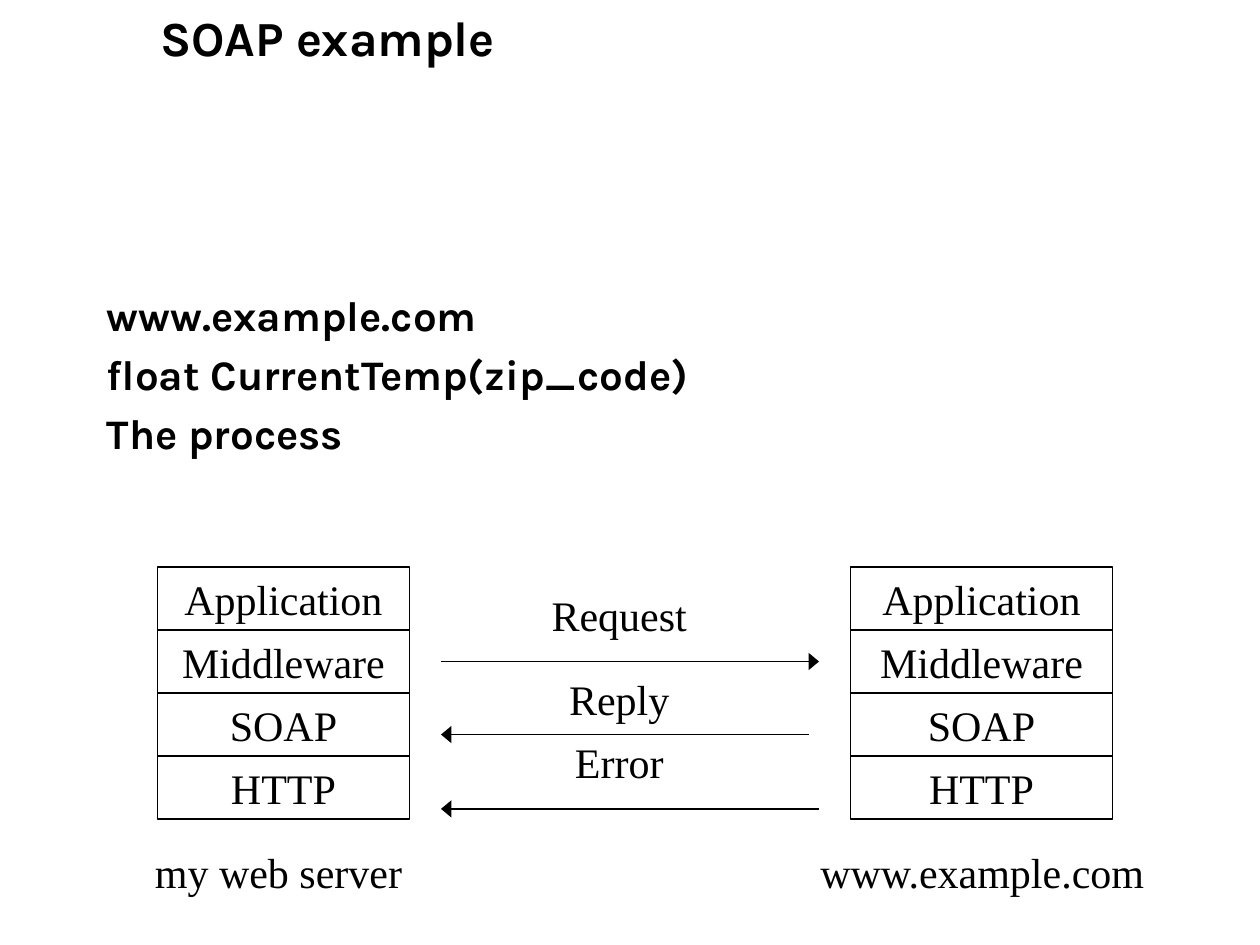
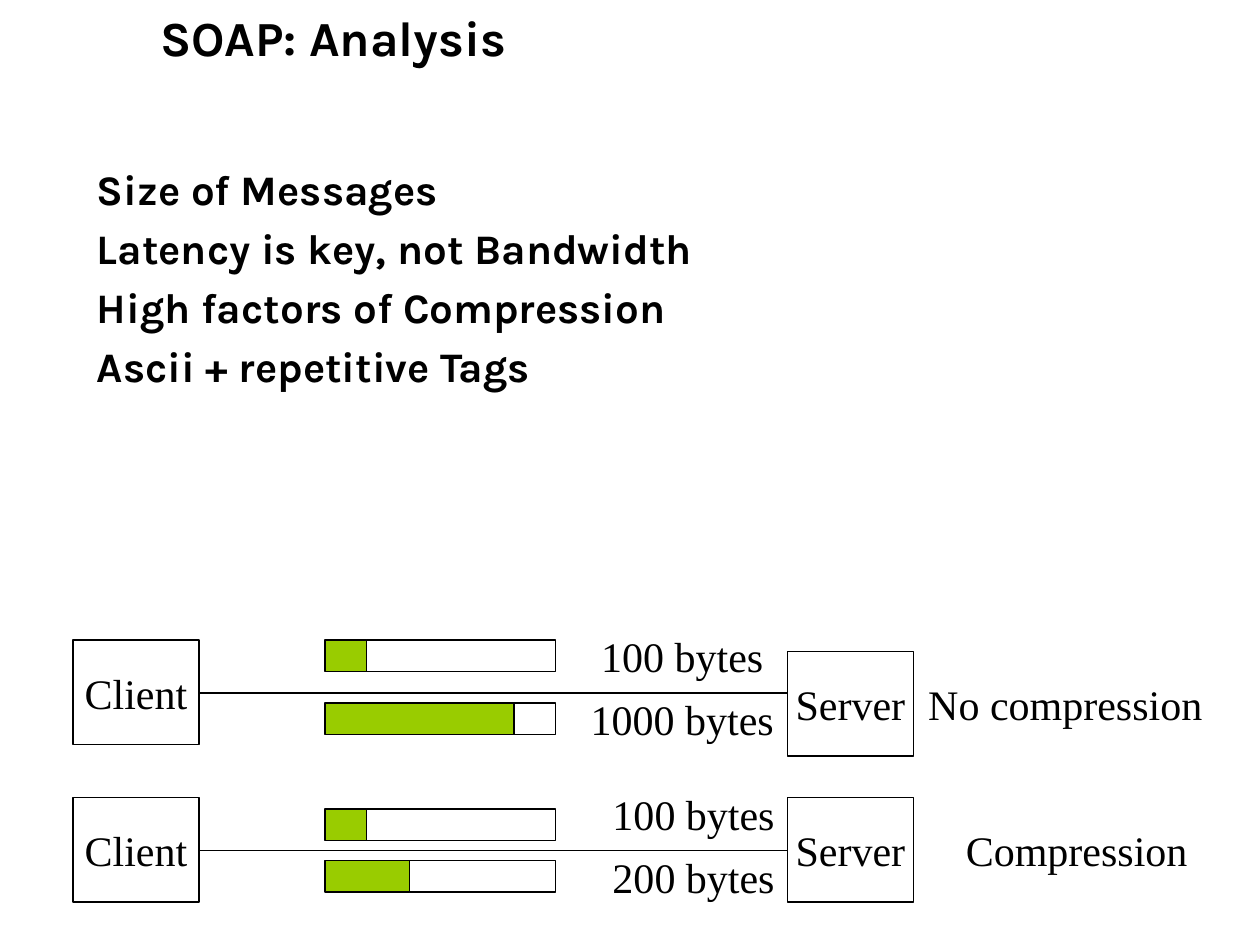
"""Build two slides on a SOAP call and the effect of compressing its messages."""
from lxml.etree import SubElement
from pptx import Presentation
from pptx.dml.color import RGBColor
from pptx.enum.shapes import MSO_CONNECTOR as Connector, MSO_SHAPE as Shape
from pptx.enum.text import MSO_ANCHOR as Anchor, PP_ALIGN as Align
from pptx.oxml.ns import qn
from pptx.util import Inches, Pt

BLACK = RGBColor(0x00, 0x00, 0x00)
WHITE = RGBColor(0xFF, 0xFF, 0xFF)
GREEN = RGBColor(0x99, 0xCC, 0x00)
HEADING_FONT = "Karla"
LABEL_FONT = "Times New Roman"
TITLE_SIZE = 28
TEXT_SIZE = 24
TITLE_ONLY = 5

HOST = "www.example.com"
LAYERS = ["Application", "Middleware", "SOAP", "HTTP"]
LAYER_HEIGHT = 0.5
BAR_LEFT, BAR_WIDTH, BAR_HEIGHT = 2.58, 1.83, 0.25
CLIENT_LEFT, SERVER_LEFT = 0.58, 6.25
NODE_WIDTH, NODE_HEIGHT = 1, 0.83


def format_text(frame, font, size, bold=False, align=Align.LEFT):
    """Apply one font style and alignment to all text in a frame."""
    for para in frame.paragraphs:
        para.alignment = align
        for span in para.runs:
            span.font.name = font
            span.font.size = Pt(size)
            span.font.bold = bold
            span.font.color.rgb = BLACK


def add_page(deck, title):
    """Add a slide with its title."""
    page = deck.slides.add_slide(deck.slide_layouts[TITLE_ONLY])
    holder = page.shapes.title
    holder.left, holder.top = Inches(1.17), Inches(-0.33)
    holder.width, holder.height = Inches(8.5), Inches(1.25)
    frame = holder.text_frame
    frame.text = title
    frame.vertical_anchor = Anchor.MIDDLE
    format_text(frame, HEADING_FONT, TITLE_SIZE, bold=True)
    return page


def add_points(page, left, top, width, height, points):
    """Add the bold list of points under the title."""
    box = page.shapes.add_textbox(Inches(left), Inches(top), Inches(width), Inches(height))
    frame = box.text_frame
    frame.word_wrap = True
    frame.text = "\n".join(points)
    format_text(frame, HEADING_FONT, TEXT_SIZE, bold=True)
    for para in frame.paragraphs[1:]:
        para.space_before = Pt(0.2 * TEXT_SIZE)


def set_label(box, text):
    """Centre an unwrapped label in a box."""
    frame = box.text_frame
    frame.text = text
    frame.word_wrap = False
    frame.vertical_anchor = Anchor.MIDDLE
    format_text(frame, LABEL_FONT, TEXT_SIZE, align=Align.CENTER)


def add_box(page, left, top, width, height, text="", fill=None, outlined=True,
            kind=Shape.RECTANGLE):
    """Add a box with an optional label, fill and black outline."""
    box = page.shapes.add_shape(kind, Inches(left), Inches(top), Inches(width), Inches(height))
    box.shadow.inherit = False
    if fill is None:
        box.fill.background()
    else:
        box.fill.solid()
        box.fill.fore_color.rgb = fill
    if outlined:
        box.line.color.rgb = BLACK
        box.line.width = Pt(1)
    else:
        box.line.fill.background()
    if text:
        set_label(box, text)


def add_line(page, start, end, y, arrow=False):
    """Add a horizontal line, with an arrowhead at its end if wanted."""
    line = page.shapes.add_connector(Connector.STRAIGHT, Inches(start), Inches(y),
                                     Inches(end), Inches(y))
    line.line.color.rgb = BLACK
    line.line.width = Pt(1)
    properties = line._element.spPr
    if arrow:
        SubElement(properties.find(qn("a:ln")), qn("a:tailEnd"), type="triangle", w="lg")
    SubElement(properties, qn("a:effectLst"))


def add_stack(page, left, width):
    """Add one protocol stack."""
    for row, layer in enumerate(LAYERS):
        add_box(page, left, 4.5 + row * LAYER_HEIGHT, width, LAYER_HEIGHT, layer, WHITE,
                kind=Shape.FLOWCHART_PROCESS)


def add_message(page, top, filled, label_left, label_top, label):
    """Add a message bar with its filled part and its size."""
    add_box(page, BAR_LEFT, top, filled, BAR_HEIGHT, fill=GREEN)
    add_box(page, BAR_LEFT + filled, top, BAR_WIDTH - filled, BAR_HEIGHT)
    add_box(page, label_left, label_top, 1.17, 0.25, label, outlined=False)


def add_link(page, client_top, server_top, line_y):
    """Add a client and a server joined by a line."""
    add_box(page, CLIENT_LEFT, client_top, NODE_WIDTH, NODE_HEIGHT, "Client")
    add_box(page, SERVER_LEFT, server_top, NODE_WIDTH, NODE_HEIGHT, "Server")
    add_line(page, CLIENT_LEFT + NODE_WIDTH, SERVER_LEFT, line_y)


def build_example(deck):
    """Build the slide that shows one SOAP call."""
    page = add_page(deck, "SOAP example")
    add_points(page, 0.75, 2.25, 8.5, 5.08,
               [HOST, "float CurrentTemp(zip_code)", "The process"])
    add_stack(page, 1.25, 2)
    add_stack(page, 6.75, 2.08)
    for left, width, name in [(0.17, 4.08, "my web server"), (5.92, 3.75, HOST)]:
        add_box(page, left, 6.67, width, 0.5, name, WHITE, outlined=False,
                kind=Shape.FLOWCHART_PROCESS)
    calls = [("Request", 4.75, 3.5, 6.5, 5.25),
             ("Reply", 5.42, 6.42, 3.5, 5.83),
             ("Error", 5.92, 6.5, 3.5, 6.42)]
    for name, top, start, end, y in calls:
        add_line(page, start, end, y, arrow=True)
        add_box(page, 4.08, top, 1.67, 0.25, name, WHITE, outlined=False)


def build_analysis(deck):
    """Build the slide that compares message sizes."""
    page = add_page(deck, "SOAP: Analysis")
    add_points(page, 0.67, 1.25, 9.08, 5.32,
               ["Size of Messages", "Latency is key, not Bandwidth",
                "High factors of Compression", "Ascii + repetitive Tags"])
    add_link(page, 5.08, 5.17, 5.5)
    add_link(page, 6.33, 6.33, 6.75)
    messages = [(5.08, 0.33, 4.83, 5.08, "100 bytes"),
                (5.58, 1.5, 4.83, 5.58, "1000 bytes"),
                (6.42, 0.33, 4.92, 6.33, "100 bytes"),
                (6.83, 0.67, 4.92, 6.83, "200 bytes")]
    for message in messages:
        add_message(page, *message)
    for left, top, name in [(7.58, 5.42, "No compression"), (7.67, 6.58, "Compression")]:
        add_box(page, left, top, 1.75, 0.33, name, outlined=False)


def main():
    """Build and save the deck."""
    deck = Presentation()
    deck.slide_width, deck.slide_height = Inches(10), Inches(7.5)
    build_example(deck)
    build_analysis(deck)
    deck.save("out.pptx")


if __name__ == "__main__":
    main()
